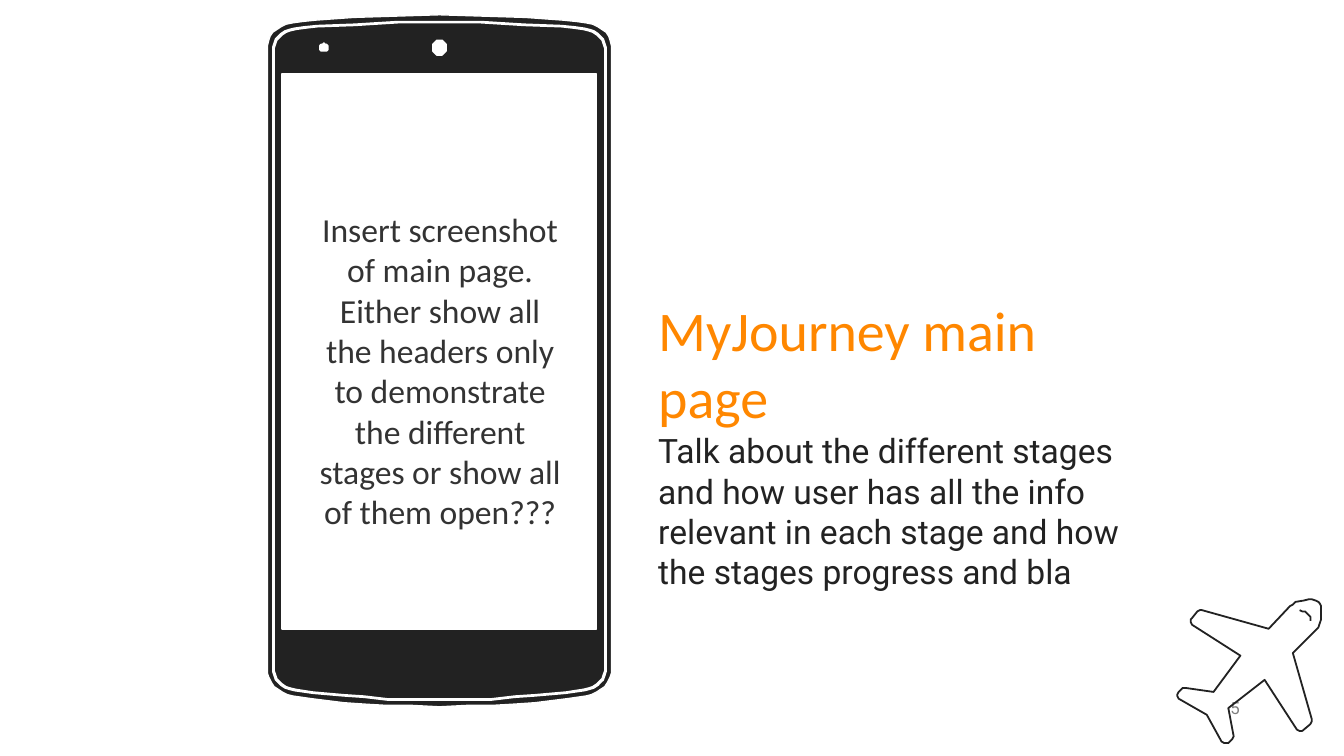
import math

from lxml import etree
from pptx import Presentation
from pptx import util as u
from pptx.dml.color import RGBColor
from pptx.enum import text

COLOURS = {"ink": "222222", "accent": "FF8700", "note": "333333",
           "grey": "7F7F7F", "white": "FFFFFF"}
GRID = u.Cm(0.0254)  # one unit of the outline coordinates below
CENTRE_X, CENTRE_Y = 327, 268.5

# Right halves of the phone outlines, x measured from the centre line
CASE = [(0, 11), (32, 12), (64, 13), (92, 15), (102, 16), (109, 17), (114, 18),
        (118, 20), (121, 22), (124, 24), (126, 27), (127, 30), (128, 34),
        (128, 38), (128, 496), (128, 501), (127, 504), (125, 508), (123, 511),
        (120, 513), (117, 515), (113, 517), (109, 518), (95, 520), (71, 523),
        (56, 524), (39, 525), (20, 525), (0, 526)]
RIM = [(0, 16), (31, 16), (63, 18), (91, 19), (101, 20), (108, 21), (112, 22),
       (115, 23), (118, 25), (120, 27), (122, 29), (123, 32), (124, 35),
       (124, 38), (124, 496), (124, 500), (123, 503), (122, 506), (120, 508),
       (118, 510), (115, 512), (112, 513), (108, 514), (94, 516), (71, 518),
       (56, 519), (39, 521), (20, 521)]
SCREEN = [(117, 55), (117, 468)]

PLANE = [(976, 535), (962, 486), (979, 469), (981, 467), (982, 464), (983, 461),
         (983, 451), (982, 449), (981, 448), (979, 447), (976, 446), (974, 446),
         (970, 447), (964, 448), (962, 450), (960, 451), (944, 468), (894, 454),
         (893, 454), (891, 455), (887, 460), (886, 461), (886, 463), (887, 465),
         (923, 488), (903, 515), (882, 512), (880, 512), (877, 515), (876, 517),
         (876, 518), (877, 520), (898, 532), (909, 552), (911, 553), (914, 553),
         (917, 550), (918, 548), (914, 527), (941, 506), (965, 543), (967, 544),
         (969, 544), (975, 539), (976, 537)]
WINDOW = [(975, 462), (975, 459), (974, 458), (973, 457), (972, 456),
          (971, 455), (969, 455), (967, 454)]


def mirrored(half):
    """Close a right half outline with its reflection."""
    return ([(CENTRE_X + x, y) for x, y in half]
            + [(CENTRE_X - x, y) for x, y in reversed(half)])


def shrunk(points, factor):
    return [(CENTRE_X + (x - CENTRE_X) * factor, CENTRE_Y + (y - CENTRE_Y) * factor)
            for x, y in points]


def circle(x, y, radius, steps=16):
    turns = [2 * math.pi * step / steps for step in range(steps)]
    return [(x + radius * math.cos(turn), y + radius * math.sin(turn)) for turn in turns]


class SlideWriter:
    def __init__(self, page):
        self.page = page
        self.frame_format = {"word_wrap": True, "auto_size": text.MSO_AUTO_SIZE.NONE}
        self.frame_format.update({f"margin_{side}": u.Cm(0.25)
                                  for side in ("left", "top", "right", "bottom")})

    def fill_text(self, box, place, anchor, align, paragraphs):
        box.left, box.top, box.width, box.height = map(u.Cm, place)
        frame = box.text_frame
        for name, value in {**self.frame_format, "vertical_anchor": anchor}.items():
            setattr(frame, name, value)
        for index, (words, size, font, colour) in enumerate(paragraphs):
            para = frame.add_paragraph() if index else frame.paragraphs[0]
            para_format = {"alignment": align, "space_before": u.Pt(0),
                           "space_after": u.Pt(0)}
            for name, value in para_format.items():
                setattr(para, name, value)
            span = para.add_run()
            span.text = words
            for name, value in {"size": u.Pt(size), "name": font, "bold": False}.items():
                setattr(span.font, name, value)
            span.font.color.rgb = RGBColor.from_string(COLOURS[colour])

    def body(self, place, anchor, align, paragraphs):
        box = self.page.placeholders[1]
        self.fill_text(box, place, anchor, align, paragraphs)
        for para in box.text_frame.paragraphs:
            props = para._p.get_or_add_pPr()
            props.set("marL", "0")
            props.set("indent", "0")
            etree.SubElement(props, props.tag.replace("pPr", "buNone"))

    def text_box(self, place, *content):
        box = self.page.shapes.add_textbox(*map(u.Cm, place))
        self.fill_text(box, place, *content)

    def outline(self, contours, line, width, fill=None, close=True):
        builder = self.page.shapes.build_freeform(*contours[0][0], scale=GRID)
        for index, points in enumerate(contours):
            if index:
                builder.move_to(*points[0])
            builder.add_line_segments(points[1:], close=close)
        shape = builder.convert_to_shape()
        shape.shadow.inherit = False
        if fill:
            shape.fill.solid()
            shape.fill.fore_color.rgb = RGBColor.from_string(COLOURS[fill])
        else:
            shape.fill.background()
        shape.line.color.rgb = RGBColor.from_string(COLOURS[line])
        shape.line.width = u.Pt(width)
        return shape

    def group(self, members):
        self.page.shapes.add_group_shape(shapes=members)


def main():
    deck = Presentation()
    deck.slide_width, deck.slide_height = u.Cm(25.4), u.Cm(14.29)
    page = deck.slides.add_slide(deck.slide_layouts[1])
    heading = page.shapes.title._element
    heading.getparent().remove(heading)
    writer = SlideWriter(page)
    middle, bottom = text.MSO_ANCHOR.MIDDLE, text.MSO_ANCHOR.BOTTOM
    align = text.PP_ALIGN

    # Heading and description
    writer.body((12.19, 0, 9.53, 11.43), bottom, align.LEFT, [
        ("MyJourney main page", 30, "Calibri", "accent"),
        ("Talk about the different stages and how user has all the info relevant "
         "in each stage and how the stages progress and bla", 18, "Roboto", "ink")])

    # Phone: the screen, rim and lenses are cut out of the case
    rim = mirrored(RIM)
    writer.outline([mirrored(CASE), rim, shrunk(rim, 0.995), mirrored(SCREEN),
                    circle(241, 35.5, 3), circle(327, 35.5, 5.5)],
                   "white", 0.75, fill="ink")
    writer.text_box((5.69, 2.34, 5.26, 9.32), middle, align.CENTER, [
        ("Insert screenshot of main page. Either show all the headers only to "
         "demonstrate the different stages or show all of them open???",
         18, "Calibri", "note")])

    # Slide number
    writer.text_box((22.71, 13, 0.97, 0.76), middle, align.RIGHT,
                    [("5", 9, "Roboto", "grey")])

    # Plane
    writer.group([writer.outline([PLANE], "ink", 0.96),
                  writer.outline([WINDOW], "ink", 0.96, close=False)])

    deck.save("out.pptx")


if __name__ == "__main__":
    main()
